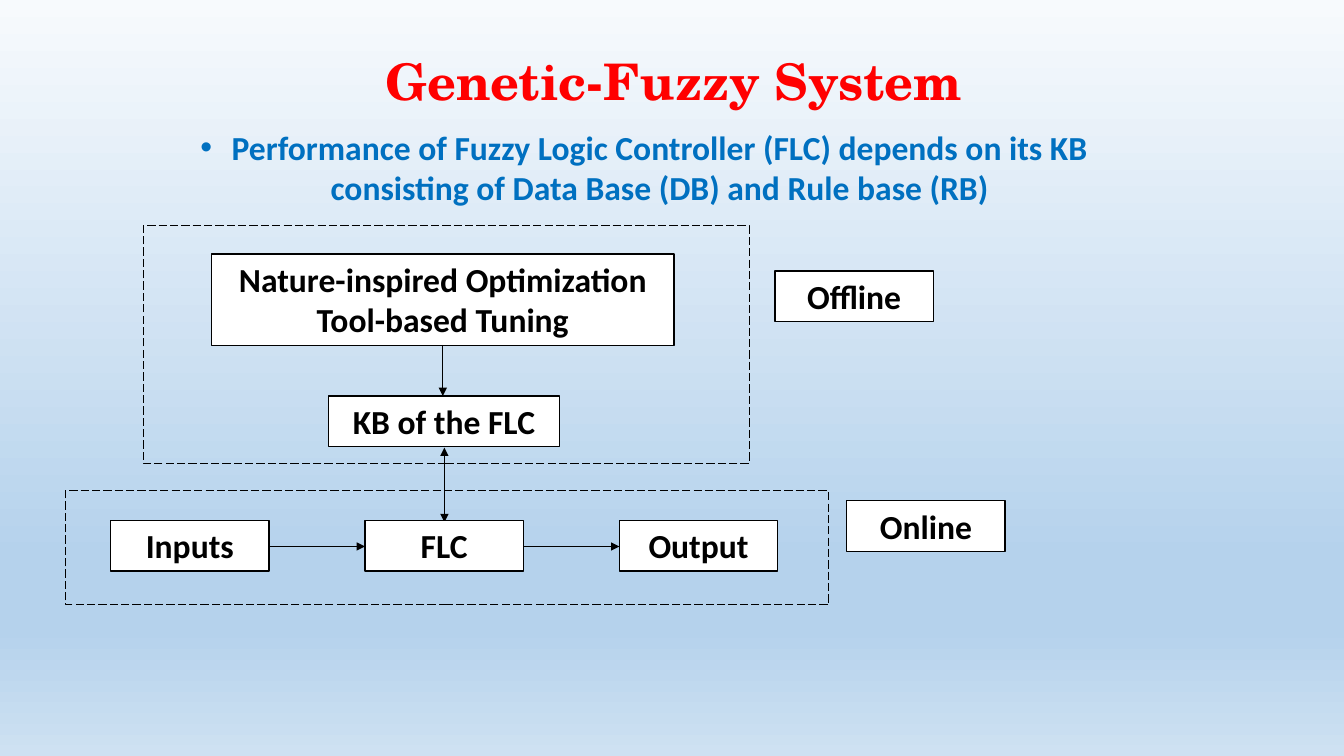
import lxml.etree
import pptx
import pptx.dml.color
import pptx.enum.dml
import pptx.enum.shapes
import pptx.enum.text
import pptx.oxml.ns
import pptx.util

Cm = pptx.util.Cm
Pt = pptx.util.Pt
qn = pptx.oxml.ns.qn

COLOURS = {
    "title": "FF0000",
    "bullet": "0070C0",
    "ink": "000000",
    "paper": "FFFFFF",
    "sky_top": "F7FAFD",
    "sky_deep": "B5D2EC",
    "sky_base": "CEE1F2",
}


class Diagram:
    body_font = "Calibri"
    title_font = "TeX Gyre Schola"
    body_size = 24
    title_size = 36

    def __init__(self, slide):
        self.slide = slide

    def colour(self, name):
        return pptx.dml.color.RGBColor.from_string(COLOURS[name])

    def background(self, stops):
        fill = self.slide.background.fill
        fill.gradient()
        fill.gradient_angle = 270
        stop_list = fill.gradient_stops[0]._gs.getparent()
        for old_stop in list(stop_list):
            stop_list.remove(old_stop)
        for percent, name in stops:
            stop = lxml.etree.SubElement(stop_list, qn("a:gs"), pos=str(percent * 1000))
            lxml.etree.SubElement(stop, qn("a:srgbClr"), val=COLOURS[name])

    def style(self, para, font_name, size, colour_name):
        para.alignment = pptx.enum.text.PP_ALIGN.CENTER
        for span in para.runs:
            span.font.name = font_name
            span.font.size = Pt(size)
            span.font.bold = True
            span.font.color.rgb = self.colour(colour_name)

    def text_box(self, left, top, width, height, text):
        box = self.slide.shapes.add_textbox(Cm(left), Cm(top), Cm(width), Cm(height))
        frame = box.text_frame
        frame.word_wrap = True
        frame.text = text
        return frame.paragraphs

    def title(self, left, top, width, height, text):
        for para in self.text_box(left, top, width, height, text):
            self.style(para, self.title_font, self.title_size, "title")

    def bullet(self, left, top, width, height, text):
        indent = Cm(0.79)
        for index, para in enumerate(self.text_box(left, top, width, height, text)):
            properties = para._p.get_or_add_pPr()
            properties.set("marL", str(indent))
            if index == 0:
                properties.set("indent", str(-indent))
                lxml.etree.SubElement(properties, qn("a:buFont"), typeface="Arial")
                lxml.etree.SubElement(properties, qn("a:buChar"), char="•")
            self.style(para, self.body_font, self.body_size, "bullet")

    def rectangle(self, left, top, width, height, line_width):
        shape = self.slide.shapes.add_shape(
            pptx.enum.shapes.MSO_SHAPE.RECTANGLE, Cm(left), Cm(top), Cm(width), Cm(height))
        shape.shadow.inherit = False
        shape.line.color.rgb = self.colour("ink")
        shape.line.width = Pt(line_width)
        return shape

    def block(self, left, top, text, width=3.99, height=1.28):
        shape = self.rectangle(left, top, width, height, 1)
        shape.fill.solid()
        shape.fill.fore_color.rgb = self.colour("paper")
        frame = shape.text_frame
        frame.word_wrap = True
        frame.vertical_anchor = pptx.enum.text.MSO_ANCHOR.TOP
        frame.text = text
        self.style(frame.paragraphs[0], self.body_font, self.body_size, "ink")

    def dashed_frame(self, left, top, width, height):
        shape = self.rectangle(left, top, width, height, 0.75)
        shape.fill.background()
        shape.line.dash_style = pptx.enum.dml.MSO_LINE.LONG_DASH

    def arrow(self, start_x, start_y, end_x, end_y, both_ends=False):
        arrow = self.slide.shapes.add_connector(
            pptx.enum.shapes.MSO_CONNECTOR.STRAIGHT,
            Cm(start_x), Cm(start_y), Cm(end_x), Cm(end_y))
        arrow.line.color.rgb = self.colour("ink")
        arrow.line.width = Pt(0.5)
        line = arrow.line._get_or_add_ln()
        for end in ("a:headEnd", "a:tailEnd") if both_ends else ("a:tailEnd",):
            lxml.etree.SubElement(line, qn(end), type="triangle")
        lxml.etree.SubElement(line.getparent(), qn("a:effectLst"))


def main():
    deck = pptx.Presentation()
    deck.slide_width = Cm(33.87)
    deck.slide_height = Cm(19.05)
    page = Diagram(deck.slides.add_slide(deck.slide_layouts[6]))

    page.background([(0, "sky_top"), (74, "sky_deep"), (83, "sky_deep"), (100, "sky_base")])
    page.title(0.43, 1.14, 33.1, 2.57, "Genetic-Fuzzy System")
    page.bullet(0.81, 3.07, 30.84, 2.31,
                "Performance of Fuzzy Logic Controller (FLC) depends on its KB\n"
                "consisting of Data Base (DB) and Rule base (RB)")

    page.block(19.53, 6.83, "Offline")
    page.block(21.34, 12.62, "Online")

    page.arrow(11.2, 11.28, 11.2, 13.16, both_ends=True)
    page.block(5.33, 6.4, "Nature-inspired Optimization Tool-based Tuning", 11.66, 2.31)
    page.block(8.28, 9.98, "KB of the FLC", 5.82)
    page.arrow(11.16, 8.69, 11.16, 9.98)
    page.dashed_frame(3.61, 5.69, 15.27, 5.99)

    row_left, row_top, row_step, block_width = 2.79, 13.11, 6.41, 3.99
    stages = ["Inputs", "FLC", "Output"]
    for index, stage in enumerate(stages):
        left = row_left + index * row_step
        page.block(left, row_top, stage, block_width)
        if index:
            page.arrow(left - row_step + block_width, 13.77, left, 13.77)
    page.dashed_frame(1.65, 12.37, 19.23, 2.87)

    deck.save("out.pptx")


if __name__ == "__main__":
    main()
